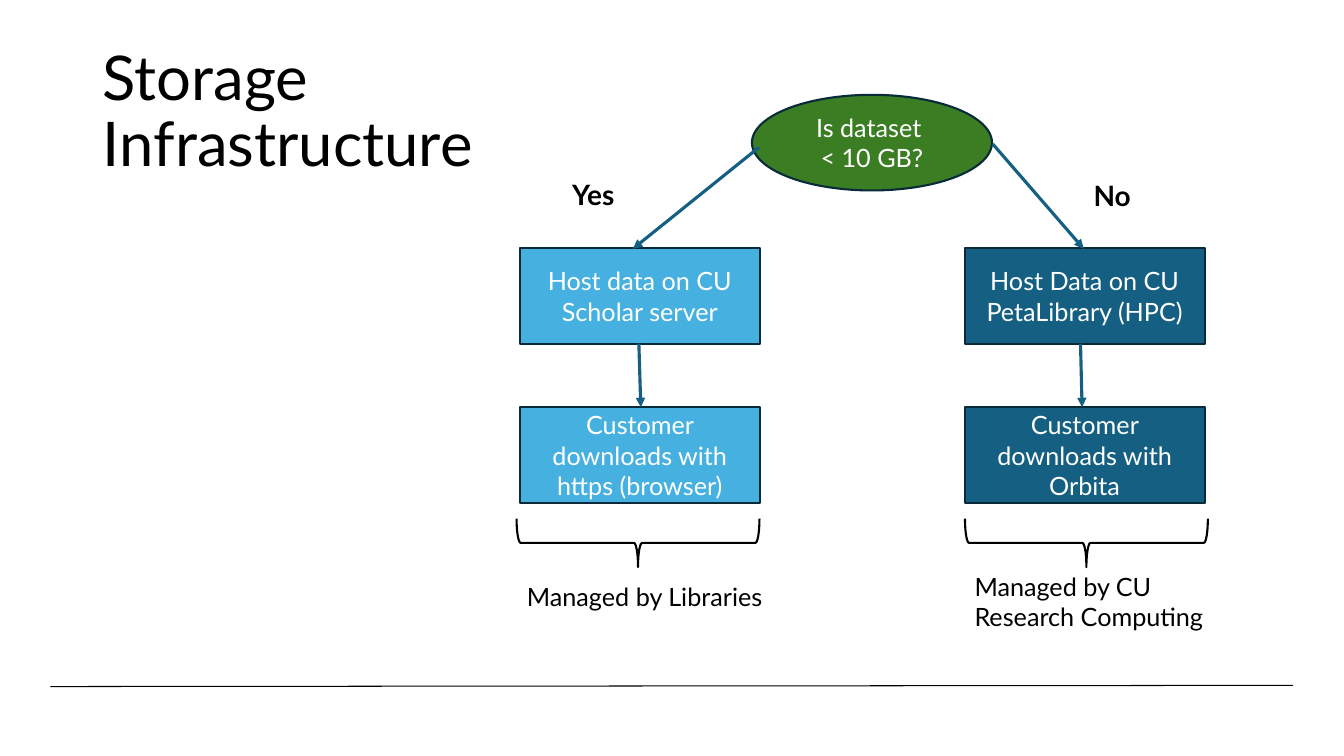
from dataclasses import dataclass

from lxml import etree
from pptx import Presentation
from pptx.dml.color import RGBColor
from pptx.enum.shapes import MSO_CONNECTOR, MSO_SHAPE
from pptx.enum.text import MSO_ANCHOR, MSO_AUTO_SIZE, PP_ALIGN
from pptx.oxml.ns import qn
from pptx.slide import Slide
from pptx.text.text import TextFrame
from pptx.util import Cm, Pt

STRAIGHT = MSO_CONNECTOR.STRAIGHT
ELLIPSE, RECTANGLE, BRACE = MSO_SHAPE.OVAL, MSO_SHAPE.RECTANGLE, MSO_SHAPE.LEFT_BRACE
LEFT, CENTER = PP_ALIGN.LEFT, PP_ALIGN.CENTER
TOP, MIDDLE = MSO_ANCHOR.TOP, MSO_ANCHOR.MIDDLE
NO_AUTOFIT, GROW = MSO_AUTO_SIZE.NONE, MSO_AUTO_SIZE.SHAPE_TO_FIT_TEXT


@dataclass(frozen=True)
class Theme:
    font: str = "Lato"
    black: str = "000000"
    white: str = "FFFFFF"
    question: str = "3B7D23"
    libraries: str = "46B1E1"
    computing: str = "156082"
    outline: str = "092A39"
    title_size: float = 44
    answer_size: float = 20
    body_size: float = 18
    rule_width: float = 0.75
    outline_width: float = 1.5
    arrow_width: float = 2.25


THEME = Theme()


@dataclass(frozen=True)
class Box:
    left: float
    top: float
    width: float
    height: float

    def lengths(self) -> tuple[Cm, ...]:
        return tuple(Cm(v) for v in (self.left, self.top, self.width, self.height))


@dataclass(frozen=True)
class Step:
    lines: tuple[str, ...]
    left: float
    top: float
    fill: str
    outline_shape: MSO_SHAPE = RECTANGLE


@dataclass(frozen=True)
class Line:
    start: tuple[float, float]
    end: tuple[float, float]
    color: str = THEME.computing
    width: float = THEME.arrow_width
    arrow: bool = True


@dataclass(frozen=True)
class Label:
    lines: tuple[str, ...]
    box: Box
    size: float = THEME.body_size
    bold: bool = False


# Flow grid, in centimetres
STEP_WIDTH, STEP_HEIGHT = 6.05, 2.41
YES_LEFT, NO_LEFT = 13.1, 24.31
HOST_TOP, DOWNLOAD_TOP = 6.25, 10.26
HOST_BOTTOM = HOST_TOP + STEP_HEIGHT

STEPS = (
    Step(("Is dataset ", "< 10 GB?"), 18.95, 2.39, THEME.question, ELLIPSE),
    Step(("Host data on CU Scholar server",), YES_LEFT, HOST_TOP, THEME.libraries),
    Step(("Host Data on CU PetaLibrary (HPC)",), NO_LEFT, HOST_TOP, THEME.computing),
    Step(("Customer downloads with https (browser)",), YES_LEFT, DOWNLOAD_TOP, THEME.libraries),
    Step(("Customer downloads with Orbita",), NO_LEFT, DOWNLOAD_TOP, THEME.computing),
)
LINES = (
    Line((1.27, 17.3), (32.59, 17.27), THEME.black, THEME.rule_width, False),
    Line((16.1, HOST_BOTTOM), (16.15, DOWNLOAD_TOP)),
    Line((27.23, HOST_BOTTOM), (27.27, DOWNLOAD_TOP)),
    Line((19.13, 3.71), (15.95, 6.27)),
    Line((25.02, 3.63), (27.31, 6.27)),
)
LABELS = (
    Label(("No",), Box(27.31, 4.37, 1.6, 1.12), THEME.answer_size, True),
    Label(("Yes",), Box(14.17, 4.34, 2.11, 1.12), THEME.answer_size, True),
    Label(("Managed by Libraries",), Box(13.03, 14.53, 7.62, 1.02)),
    Label(("Managed by CU", "Research Computing"), Box(24.31, 14.27, 7.62, 1.8)),
)
BRACES = tuple(Box(left, 10.62, 1.22, 6.12) for left in (15.47, 26.77))


def format_text(frame: TextFrame, size: float, color: str, align: PP_ALIGN,
                anchor: MSO_ANCHOR, fit: MSO_AUTO_SIZE, bold: bool = False) -> None:
    frame_format = {"word_wrap": True, "vertical_anchor": anchor, "auto_size": fit}
    for name, value in frame_format.items():
        setattr(frame, name, value)
    font_format = {"name": THEME.font, "size": Pt(size), "bold": bold}
    for paragraph in frame.paragraphs:
        paragraph.alignment = align
        for run in paragraph.runs:
            for name, value in font_format.items():
                setattr(run.font, name, value)
            run.font.color.rgb = RGBColor.from_string(color)


def write_lines(frame: TextFrame, lines: tuple[str, ...]) -> None:
    frame.paragraphs[0].add_run().text = lines[0]
    for line in lines[1:]:
        frame.add_paragraph().add_run().text = line


def draw_title(slide: Slide, first: str, second: str) -> None:
    title = slide.shapes.title
    title.left, title.top, title.width, title.height = Box(2.34, 1.02, 29.21, 3.68).lengths()
    paragraph = title.text_frame.paragraphs[0]
    paragraph.line_spacing = 0.9
    paragraph.add_run().text = first
    paragraph.add_line_break()
    paragraph.add_run().text = second
    format_text(title.text_frame, THEME.title_size, THEME.black, LEFT, MIDDLE, NO_AUTOFIT)


def draw_step(slide: Slide, step: Step) -> None:
    box = Box(step.left, step.top, STEP_WIDTH, STEP_HEIGHT)
    shape = slide.shapes.add_shape(step.outline_shape, *box.lengths())
    shape.shadow.inherit = False
    shape.fill.solid()
    shape.fill.fore_color.rgb = RGBColor.from_string(step.fill)
    shape.line.color.rgb = RGBColor.from_string(THEME.outline)
    shape.line.width = Pt(THEME.outline_width)
    write_lines(shape.text_frame, step.lines)
    format_text(shape.text_frame, THEME.body_size, THEME.white, CENTER, MIDDLE, NO_AUTOFIT)


def draw_line(slide: Slide, line: Line) -> None:
    ends = (Cm(v) for v in (*line.start, *line.end))
    connector = slide.shapes.add_connector(STRAIGHT, *ends)
    connector.line.color.rgb = RGBColor.from_string(line.color)
    connector.line.width = Pt(line.width)
    if line.arrow:
        etree.SubElement(connector.line._get_or_add_ln(), qn("a:tailEnd"), type="triangle")
    etree.SubElement(connector._element.spPr, qn("a:effectLst"))


def draw_brace(slide: Slide, box: Box) -> None:
    brace = slide.shapes.add_shape(BRACE, *box.lengths())
    brace.rotation = 270
    brace.shadow.inherit = False
    brace.fill.background()
    brace.line.color.rgb = RGBColor.from_string(THEME.black)
    brace.line.width = Pt(THEME.outline_width)


def draw_label(slide: Slide, label: Label) -> None:
    frame = slide.shapes.add_textbox(*label.box.lengths()).text_frame
    write_lines(frame, label.lines)
    format_text(frame, label.size, THEME.black, LEFT, TOP, GROW, label.bold)


def main() -> None:
    deck = Presentation()
    deck.slide_width, deck.slide_height = Cm(33.87), Cm(19.05)
    title_only = deck.slide_layouts[5]
    slide = deck.slides.add_slide(title_only)

    draw_title(slide, "Storage ", "Infrastructure")

    # Decision and the two storage routes
    for step in STEPS:
        draw_step(slide, step)

    # Footer rule and flow arrows
    for line in LINES:
        draw_line(slide, line)

    # Responsibilities and answers
    for box in BRACES:
        draw_brace(slide, box)
    for label in LABELS:
        draw_label(slide, label)

    deck.save("out.pptx")


if __name__ == "__main__":
    main()
